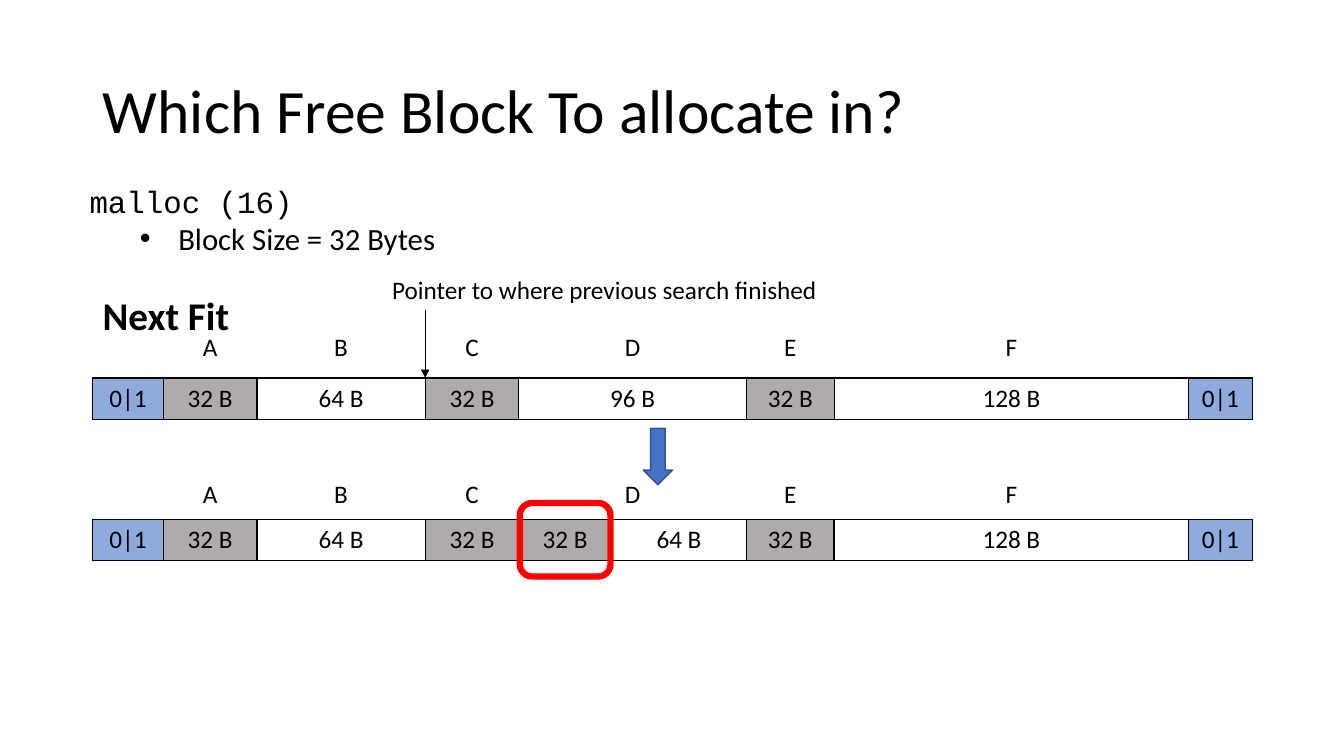
from collections import namedtuple
from itertools import accumulate

from lxml.etree import SubElement
from pptx import Presentation
from pptx.dml.color import RGBColor
from pptx.enum.shapes import MSO_CONNECTOR, MSO_SHAPE
from pptx.enum.text import MSO_ANCHOR, PP_ALIGN
from pptx.oxml.ns import qn
from pptx.util import Emu, Inches, Pt

Box = namedtuple("Box", "left top width height")

BLACK, RED = "000000", "FF0000"
BOUNDARY, USED, FREE = "8FAADC", "AFABAB", None
ARROW_FILL, ARROW_EDGE = "4472C4", "325491"

SLIDE_WIDTH, SLIDE_HEIGHT = Inches(13.33), Inches(7.5)
LEFT, WIDTH = Inches(0.92), Inches(11.5)
ROW_HEIGHT = Inches(0.41)

BEFORE = [("0|1", 0.7, BOUNDARY), ("32 B", 0.93, USED), ("64 B", 1.67, FREE),
          ("32 B", 0.93, USED), ("96 B", 2.26, FREE), ("32 B", 0.87, USED),
          ("128 B", 3.52, FREE), ("0|1", 0.63, BOUNDARY)]
AFTER = BEFORE[:4] + [("32 B", 0.92, USED), ("64 B", 1.34, FREE)] + BEFORE[5:]
NAMES = [(name, share, FREE)
         for name, (_, share, _) in zip(["", *"ABCDEF", ""], BEFORE)]


def color(hex_code):
    return RGBColor.from_string(hex_code)


def style(paragraph, size, font="Calibri", bold=False):
    paragraph.font.size = Pt(size)
    paragraph.font.name = font
    paragraph.font.bold = bold
    paragraph.font.color.rgb = color(BLACK)


def add_title(slide, box, wording):
    title = slide.shapes.title
    title.left, title.top, title.width, title.height = box
    frame = title.text_frame
    frame.text = wording
    frame.vertical_anchor = MSO_ANCHOR.MIDDLE
    heading = frame.paragraphs[0]
    heading.alignment = PP_ALIGN.LEFT
    heading.line_spacing = 0.9
    style(heading, 44)


def add_label(slide, box, wording, size, font="Calibri", bold=False):
    frame = slide.shapes.add_textbox(*box).text_frame
    frame.word_wrap = True
    frame.text = wording
    style(frame.paragraphs[0], size, font, bold)
    return frame


def add_request(slide, box):
    frame = add_label(slide, box, "malloc (16)", 22, "Courier New")
    block_size = frame.add_paragraph()
    block_size.text = "Block Size = 32 Bytes"
    block_size.level = 1
    style(block_size, 22)
    properties = block_size._p.get_or_add_pPr()
    properties.set("marL", str(Inches(0.88)))
    properties.set("indent", str(Inches(-0.38)))
    SubElement(properties, qn("a:buFont"), typeface="Arial")
    SubElement(properties, qn("a:buChar"), char="•")


def set_borders(cell, visible):
    properties = cell._tc.get_or_add_tcPr()
    for position, side in enumerate(("a:lnL", "a:lnR", "a:lnT", "a:lnB")):
        edge = properties.makeelement(qn(side), {"w": str(Pt(1))})
        properties.insert(position, edge)
        if visible:
            fill = SubElement(edge, qn("a:solidFill"))
            SubElement(fill, qn("a:srgbClr"), val=BLACK)
        else:
            SubElement(edge, qn("a:noFill"))


def add_memory_row(slide, box, blocks, bordered=True):
    table = slide.shapes.add_table(1, len(blocks), *box).table
    table.first_row = table.horz_banding = False
    table.rows[0].height = box.height
    total = sum(share for _, share, _ in blocks)
    for column, cell, (wording, share, fill) in zip(
            table.columns, table.rows[0].cells, blocks):
        column.width = Emu(int(box.width * share / total))
        cell.text = wording
        cell.vertical_anchor = MSO_ANCHOR.MIDDLE
        paragraph = cell.text_frame.paragraphs[0]
        paragraph.alignment = PP_ALIGN.CENTER
        style(paragraph, 18)
        if fill:
            cell.fill.solid()
            cell.fill.fore_color.rgb = color(fill)
        else:
            cell.fill.background()
        set_borders(cell, bordered)
    return list(accumulate((column.width for column in table.columns),
                           initial=box.left))


def add_heap(slide, box, blocks):
    names_box = box._replace(height=ROW_HEIGHT)
    add_memory_row(slide, names_box, NAMES, bordered=False)
    blocks_top = box.top + box.height - ROW_HEIGHT
    blocks_box = box._replace(top=blocks_top, height=ROW_HEIGHT)
    return add_memory_row(slide, blocks_box, blocks), blocks_top


def add_outlined(slide, kind, box, edge, weight, fill=None):
    shape = slide.shapes.add_shape(kind, *box)
    shape.shadow.inherit = False
    shape.line.color.rgb = color(edge)
    shape.line.width = Pt(weight)
    if fill:
        shape.fill.solid()
        shape.fill.fore_color.rgb = color(fill)
    else:
        shape.fill.background()


def add_pointer(slide, x, top, bottom):
    pointer = slide.shapes.add_connector(MSO_CONNECTOR.STRAIGHT, x, top, x, bottom)
    pointer.line.color.rgb = color(BLACK)
    pointer.line.width = Pt(0.5)
    SubElement(pointer.line._get_or_add_ln(), qn("a:tailEnd"), type="triangle")
    SubElement(pointer._element.spPr, qn("a:effectLst"))


def add_allocation_slide(deck):
    slide = deck.slides.add_slide(deck.slide_layouts[5])
    add_title(slide, Box(LEFT, Inches(0.4), WIDTH, Inches(1.45)),
              "Which Free Block To allocate in?")
    add_label(slide, Box(LEFT, Inches(2.84), Inches(8.11), Inches(0.57)),
              "Next Fit", 28, bold=True)
    add_request(slide, Box(Inches(0.79), Inches(1.76), Inches(4.26), Inches(0.84)))

    after_box = Box(LEFT, Inches(4.7), WIDTH, Inches(0.86))
    edges, blocks_top = add_heap(slide, after_box, AFTER)
    overhang = Inches(0.16)
    allocated = Box(edges[4] + Inches(0.01), blocks_top - overhang,
                    edges[5] - edges[4] - Inches(0.02), ROW_HEIGHT + 2 * overhang)
    add_outlined(slide, MSO_SHAPE.ROUNDED_RECTANGLE, allocated, RED, 4.5)

    before_box = Box(LEFT, Inches(3.25), WIDTH, Inches(0.91))
    edges, blocks_top = add_heap(slide, before_box, BEFORE)
    add_outlined(slide, MSO_SHAPE.DOWN_ARROW,
                 Box(Inches(6.38), Inches(4.25), Inches(0.29), Inches(0.56)),
                 ARROW_EDGE, 1, ARROW_FILL)
    add_pointer(slide, edges[3], Inches(3.08), blocks_top)
    add_label(slide, Box(Inches(3.79), Inches(2.67), Inches(4.76), Inches(0.4)),
              "Pointer to where previous search finished", 18)


def main():
    deck = Presentation()
    deck.slide_width, deck.slide_height = SLIDE_WIDTH, SLIDE_HEIGHT
    add_allocation_slide(deck)
    deck.save("out.pptx")


if __name__ == "__main__":
    main()
